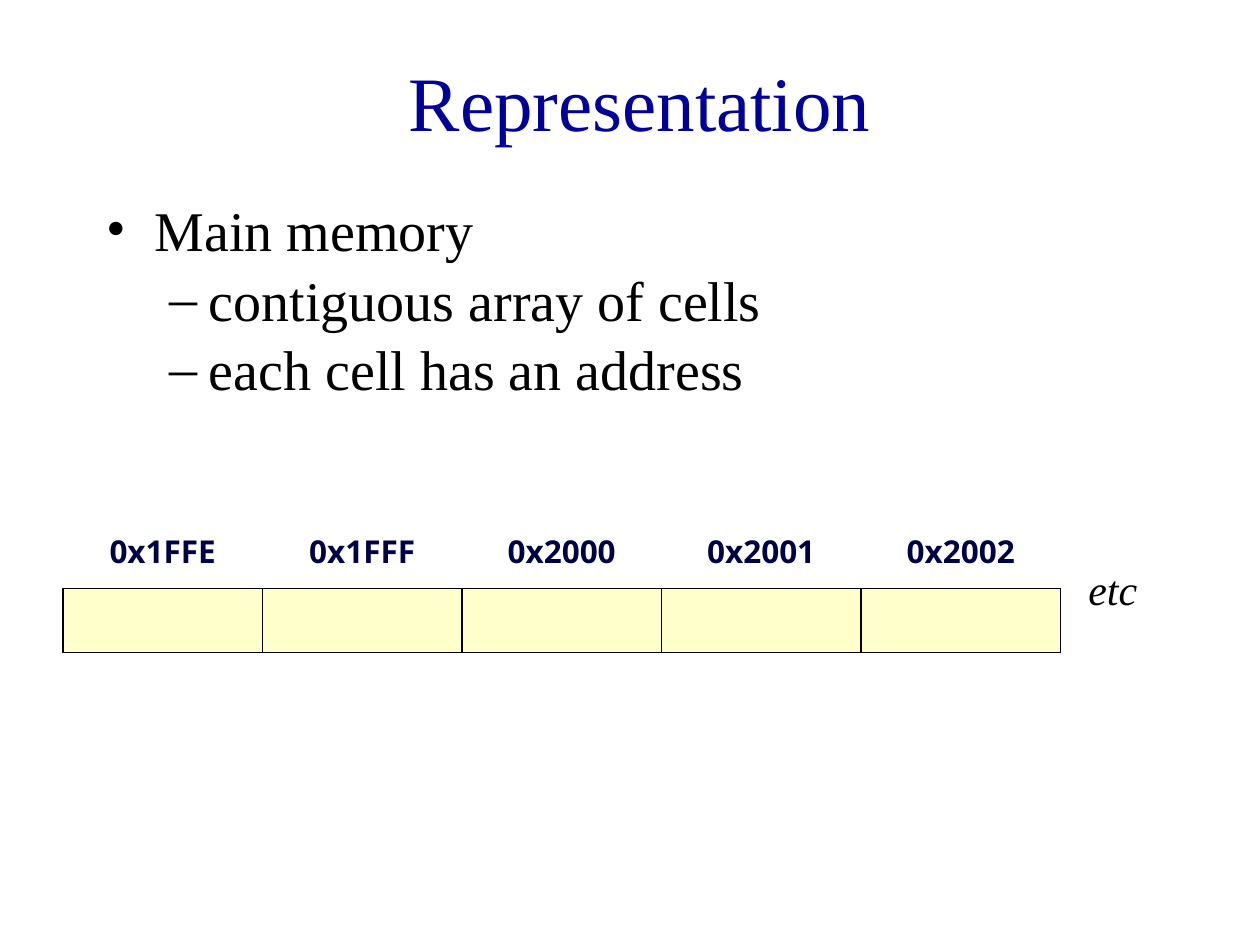
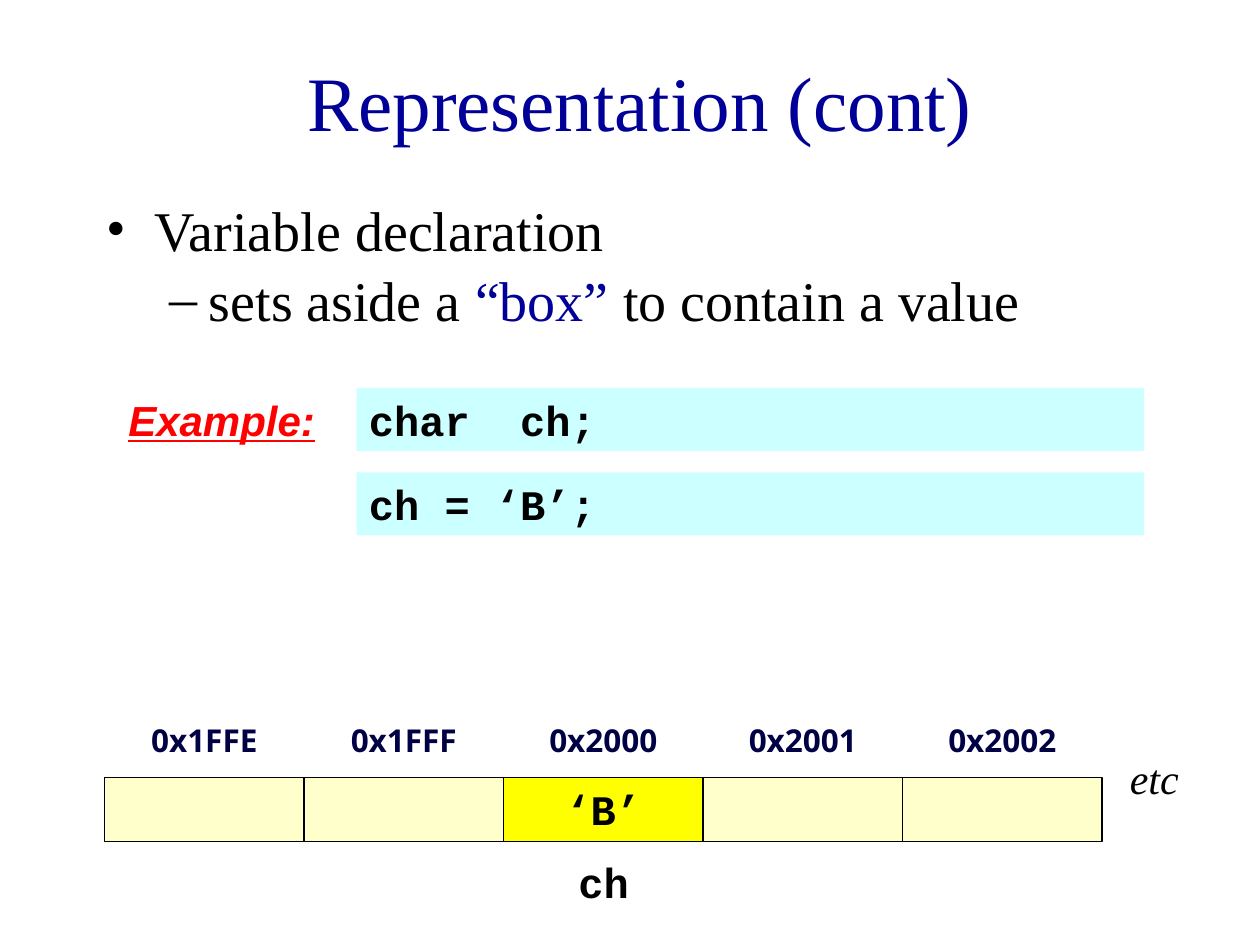
"""Build two slides on how variables are represented in main memory."""
from lxml import etree
from pptx import Presentation
from pptx.dml.color import RGBColor
from pptx.enum import shapes, text
from pptx.oxml import ns
from pptx.util import Inches, Pt

BLACK = RGBColor(0x00, 0x00, 0x00)
BLUE = RGBColor(0x00, 0x00, 0x99)
NAVY = RGBColor(0x00, 0x00, 0x44)
RED = RGBColor(0xFF, 0x00, 0x00)
CREAM = RGBColor(0xFF, 0xFF, 0xCC)
YELLOW = RGBColor(0xFF, 0xFF, 0x00)
CYAN = RGBColor(0xCC, 0xFF, 0xFF)

SERIF, SANS, CODE, LABEL = "Times New Roman", "Arial", "Courier New", "Open Sans"
CENTER, LEFT = text.PP_ALIGN.CENTER, text.PP_ALIGN.LEFT
TOP, MIDDLE = text.MSO_ANCHOR.TOP, text.MSO_ANCHOR.MIDDLE
BULLETS = [("•", 0.38, -0.38), ("–", 0.81, -0.31)]

CELL_WIDTH, CELL_HEIGHT = 9.5 / 6, 0.51
ADDRESSES = ["0x1FFE", "0x1FFF", "0x2000", "0x2001", "0x2002"]


def write(slide, content, box, font=SERIF, size=24, color=BLACK, bold=False, italic=False,
          underline=False, align=LEFT, anchor=TOP, fill=None, line=None, bulleted=False):
    place = [Inches(length) for length in box]
    if fill is None:
        holder = slide.shapes.add_textbox(*place)
    else:
        holder = slide.shapes.add_shape(shapes.MSO_SHAPE.RECTANGLE, *place)
        holder.shadow.inherit = False
        holder.fill.solid()
        holder.fill.fore_color.rgb = fill
        if line is None:
            holder.line.fill.background()
        else:
            holder.line.color.rgb = line
            holder.line.width = Pt(1)
    frame = holder.text_frame
    frame.word_wrap = True
    frame.vertical_anchor = anchor
    paragraphs = [[(content, color)]] if isinstance(content, str) else content
    for index, pieces in enumerate(paragraphs):
        paragraph = frame.paragraphs[0] if index == 0 else frame.add_paragraph()
        paragraph.alignment = align
        if bulleted:
            paragraph.level = min(index, 1)
            paragraph.space_before = Pt(1.5)
            mark, margin, indent = BULLETS[paragraph.level]
            properties = paragraph._p.get_or_add_pPr()
            properties.set("marL", str(Inches(margin)))
            properties.set("indent", str(Inches(indent)))
            etree.SubElement(properties, ns.qn("a:buFont"), typeface=SERIF)
            etree.SubElement(properties, ns.qn("a:buChar"), char=mark)
        for words, tint in pieces:
            run = paragraph.add_run()
            run.text = words
            run.font.name, run.font.size = font, Pt(size)
            run.font.bold, run.font.italic, run.font.underline = bold, italic, underline
            run.font.color.rgb = tint


deck = Presentation()
deck.slide_width, deck.slide_height = Inches(10), Inches(7.5)

topics = [
    ("Representation", 5.92, 1.92, 0.5, 4.67, {},
     [[("Main memory", BLACK)],
      [("contiguous array of cells", BLACK)],
      [("each cell has an address", BLACK)]]),
    ("Representation (cont)", 8.67, 1.33, 0.83, 6.17, {"0x2000": "‘B’"},
     [[("Variable declaration", BLACK)],
      [("sets aside a ", BLACK), ("“box” ", BLUE), ("to contain a value", BLACK)]]),
]

for title, width, height, memory_left, memory_top, values, points in topics:
    slide = deck.slides.add_slide(deck.slide_layouts[6])
    write(slide, title, (0.83, 0.17, 8.5, 1.25), size=44, color=BLUE,
          align=CENTER, anchor=MIDDLE)
    write(slide, points, (0.75, 1.5, width, height), size=32, bulleted=True)
    for column, address in enumerate(ADDRESSES):
        left = memory_left + column * CELL_WIDTH
        write(slide, address, (left, memory_top - 0.5, CELL_WIDTH, 0.4), font=LABEL,
              size=18, color=NAVY, bold=True, align=CENTER)
        write(slide, values.get(address, ""), (left, memory_top, CELL_WIDTH, CELL_HEIGHT),
              font=CODE, bold=True, align=CENTER,
              fill=YELLOW if address in values else CREAM, line=BLACK)
    memory_right = memory_left + len(ADDRESSES) * CELL_WIDTH
    write(slide, "etc", (memory_right, memory_top - 0.25, 0.83, 0.5), italic=True, align=CENTER)

write(slide, "Example:", (0.92, 3.08, 1.83, 0.5), font=SANS, color=RED,
      bold=True, italic=True, underline=True)
for row, statement in enumerate(["char  ch;", "ch = ‘B’;"]):
    write(slide, statement, (2.83, 3.08 + row * 0.67, 6.25, 0.5), font=CODE, bold=True, fill=CYAN)
write(slide, "ch", (4.08, 6.75, 1.42, 0.5), font=CODE, bold=True, align=CENTER)

deck.save("out.pptx")
